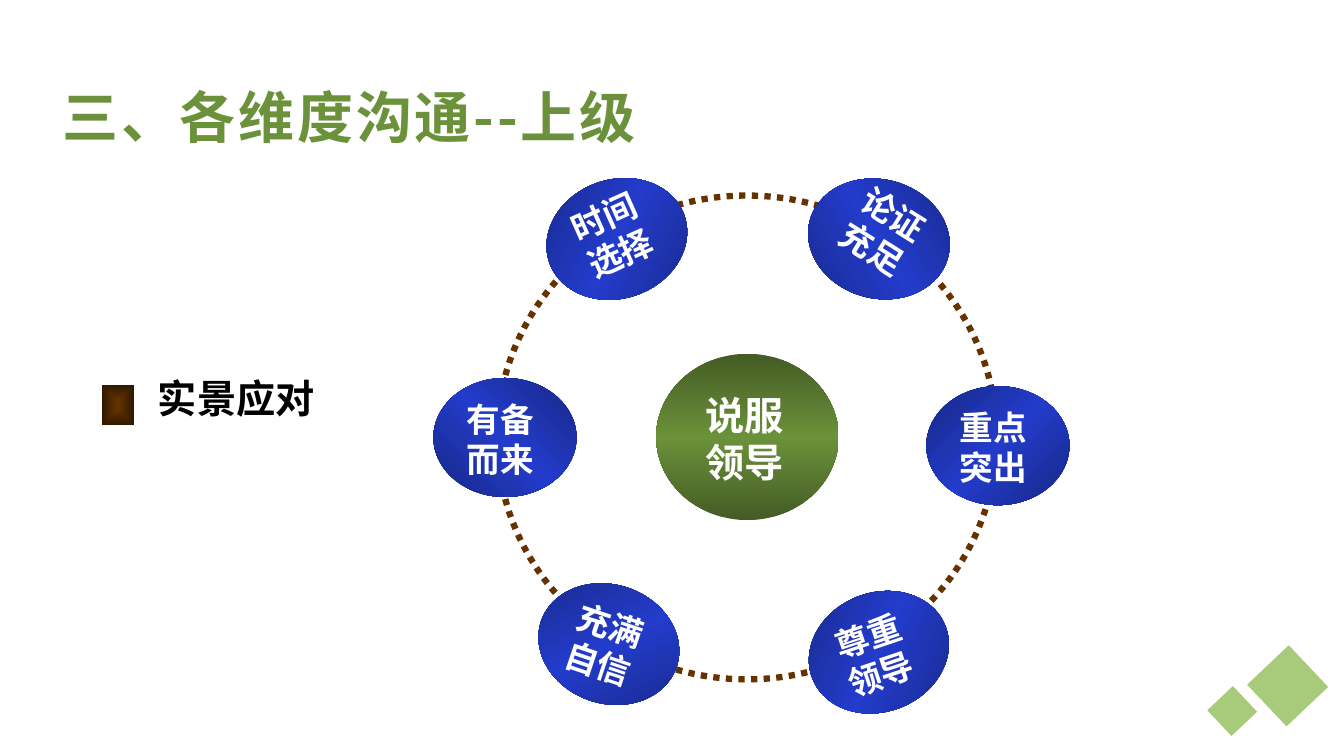
import pptx
import pptx.dml.color
import pptx.enum.dml
import pptx.enum.shapes
import pptx.enum.text
import pptx.oxml
import pptx.oxml.ns
import pptx.util
from collections import namedtuple

Pt = pptx.util.Pt
RGBColor = pptx.dml.color.RGBColor
SHAPE = pptx.enum.shapes.MSO_SHAPE

FONT = "Noto Sans CJK SC"
WHITE = RGBColor(0xFF, 0xFF, 0xFF)
BLACK = RGBColor(0x00, 0x00, 0x00)
GREEN = RGBColor(0x6B, 0x91, 0x3A)
DARK_GREEN = RGBColor(0x44, 0x5C, 0x25)
LIGHT_GREEN = RGBColor(0xA8, 0xCA, 0x7B)
BLUE = RGBColor(0x23, 0x3C, 0xCB)
NAVY = RGBColor(0x17, 0x27, 0x85)
BROWN = RGBColor(0x66, 0x33, 0x00)
DARK_BROWN = RGBColor(0x2F, 0x18, 0x00)

Box = namedtuple("Box", "left top width height")
Node = namedtuple("Node", "text left top tilt text_left text_top text_tilt angle")

NODE_WIDTH, NODE_HEIGHT = 102.2, 85
NODES = [
    Node("时间选择", 34.5, -11.5, 341, 16.7, 5.8, 335.9, 45),
    Node("论证充足", 221.7, -11.5, 14.9, 22.3, 5.8, 32.1, 315),
    Node("有备而来", -45.4, 130.3, 0, 16.9, 11.2, 0, 315),
    Node("重点突出", 306.7, 136.1, 0, 16.7, 11.2, 0, 45),
    Node("充满自信", 28.8, 277.9, 18.7, 16.7, 11, 18.6, 45),
    Node("尊重领导", 221.7, 283.7, 338.3, 16.7, 11, 341.4, 45),
]


def add_plain_shape(slide, kind, box, tilt=0):
    """Add a preset shape without shadow, fill or outline."""
    shape = slide.shapes.add_shape(kind, *map(Pt, box))
    shape.shadow.inherit = False
    shape.fill.background()
    shape.line.fill.background()
    shape.rotation = tilt
    return shape


def set_gradient(shape, colors, direction):
    """Fill a shape with evenly spaced colors along the given direction element."""
    last = len(colors) - 1
    stops = "".join(
        f'<a:gs pos="{100000 * index // last}"><a:srgbClr val="{color}"/></a:gs>'
        for index, color in enumerate(colors)
    )
    gradient = pptx.oxml.parse_xml(
        f'<a:gradFill {pptx.oxml.ns.nsdecls("a")} rotWithShape="1">'
        f"<a:gsLst>{stops}</a:gsLst>{direction}</a:gradFill>"
    )
    properties = shape._element.spPr
    properties.replace(properties.find(pptx.oxml.ns.qn("a:noFill")), gradient)


def linear(angle):
    """Return the direction element of a linear gradient."""
    return f'<a:lin ang="{angle * 60000}" scaled="1"/>'


def format_text(text_frame, size, color):
    """Set the font of all runs in a text frame."""
    for paragraph in text_frame.paragraphs:
        for run in paragraph.runs:
            run.font.size = Pt(size)
            run.font.bold = True
            run.font.name = FONT
            run.font.color.rgb = color
            east_asian = pptx.oxml.parse_xml(
                f'<a:ea {pptx.oxml.ns.nsdecls("a")} typeface="{FONT}"/>'
            )
            run.font._element.find(pptx.oxml.ns.qn("a:latin")).addnext(east_asian)


def add_label(slide, text, box, size, color, tilt=0):
    """Add a wrapped bold label."""
    label = slide.shapes.add_textbox(*map(Pt, box))
    label.rotation = tilt
    label.text_frame.word_wrap = True
    label.text_frame.text = text
    label.text_frame.paragraphs[0].line_spacing = Pt(size * 1.2)
    format_text(label.text_frame, size, color)


def add_title(slide, box):
    """Place and format the title placeholder."""
    title = slide.shapes.title
    title.left, title.top, title.width, title.height = map(Pt, box)
    text_frame = title.text_frame
    text_frame.text = "三、各维度沟通--上级"
    text_frame.vertical_anchor = pptx.enum.text.MSO_ANCHOR.BOTTOM
    paragraph = text_frame.paragraphs[0]
    paragraph.alignment = pptx.enum.text.PP_ALIGN.LEFT
    format_text(text_frame, 40, GREEN)
    paragraph.runs[0].font._element.set("spc", "200")


def add_corner_diamonds(slide, box):
    """Add the two tilted squares in the corner box."""
    for left, top, side in ((31.7, 0, 41), (0, 25.9, 25.2)):
        square = Box(box.left + left, box.top + top, side, side)
        diamond = add_plain_shape(slide, SHAPE.RECTANGLE, square, 316.6)
        diamond.fill.solid()
        diamond.fill.fore_color.rgb = LIGHT_GREEN


def add_center(slide, box):
    """Add the green hub with its label."""
    hub = add_plain_shape(slide, SHAPE.OVAL, box)
    set_gradient(hub, (DARK_GREEN, GREEN, DARK_GREEN), linear(90))
    label_box = Box(box.left + 28.1, box.top + 23, 79.2, 74.9)
    add_label(slide, "说服领导", label_box, 28, WHITE)


def add_node(slide, node, box):
    """Add one blue ellipse with its tilted label."""
    ellipse = add_plain_shape(slide, SHAPE.OVAL, box, node.tilt)
    set_gradient(ellipse, (NAVY, BLUE, NAVY), linear(node.angle))
    label_box = Box(box.left + node.text_left, box.top + node.text_top, 67.7, 65.5)
    add_label(slide, node.text, label_box, 24, WHITE, node.text_tilt)


def add_orbit(slide, box):
    """Add the dotted ring and the nodes around it."""
    ring = add_plain_shape(slide, SHAPE.OVAL, box)
    ring.line.color.rgb = BROWN
    ring.line.width = Pt(4.5)
    ring.line.dash_style = pptx.enum.dml.MSO_LINE.ROUND_DOT
    for node in NODES:
        node_box = Box(box.left + node.left, box.top + node.top, NODE_WIDTH, NODE_HEIGHT)
        add_node(slide, node, node_box)


def add_topic(slide, box):
    """Add the topic line with its square marker."""
    label_box = Box(box.left + 33.1, box.top, box.width - 33.1, box.height)
    add_label(slide, "实景应对", label_box, 28, BLACK)
    marker = add_plain_shape(
        slide, SHAPE.RECTANGLE, Box(box.left, box.top + 10.8, 23, 28.8)
    )
    set_gradient(
        marker,
        (BROWN, DARK_BROWN),
        '<a:path path="shape"><a:fillToRect l="50000" t="50000" r="50000" b="50000"/></a:path>',
    )


def main():
    """Build and save the presentation."""
    presentation = pptx.Presentation()
    presentation.slide_width = Pt(960)
    presentation.slide_height = Pt(540)
    slide = presentation.slides.add_slide(presentation.slide_layouts[5])
    add_corner_diamonds(slide, Box(867.6, 469.4, 72.7, 51.1))
    add_center(slide, Box(468.7, 252.7, 130.3, 118.8))
    add_orbit(slide, Box(355, 139.7, 357, 345.6))
    add_topic(slide, Box(72.7, 264.2, 282.9, 41))
    add_title(slide, Box(37.4, 43.2, 596.2, 67.7))
    presentation.save("out.pptx")


if __name__ == "__main__":
    main()
